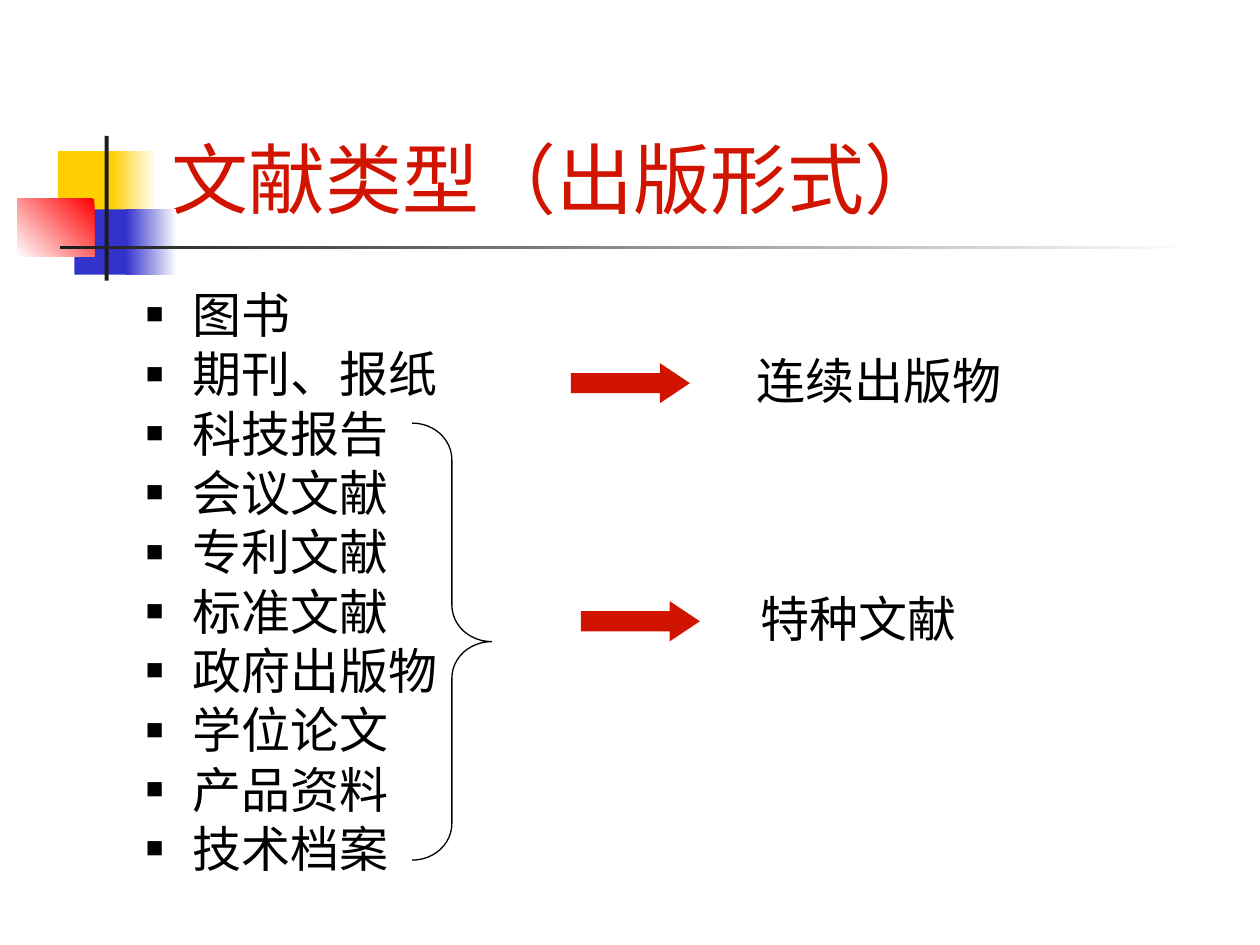
from dataclasses import dataclass
from lxml.etree import SubElement as Sub
from pptx import Presentation as Deck
from pptx.dml.color import RGBColor as Rgb
from pptx.enum.shapes import MSO_SHAPE as Kind
from pptx.enum.text import MSO_ANCHOR as Anchor, MSO_AUTO_SIZE as Fit, PP_ALIGN as Align
from pptx.oxml.ns import qn
from pptx.util import Cm, Pt


@dataclass(frozen=True)
class Theme:
    """Colours, fonts and type sizes."""
    red: str = "D01400"
    black: str = "000000"
    white: str = "FFFFFF"
    gold: str = "FFCF01"
    blue: str = "3333CC"
    flame: str = "FF0000"
    dark: str = "1C1C1C"
    han: str = "Noto Sans CJK SC"
    head: str = "Roboto"
    label: str = "Arial"
    big: int = 44
    text: int = 28


LOOK = Theme()
ITEMS = ("图书", "期刊、报纸", "科技报告", "会议文献", "专利文献",
         "标准文献", "政府出版物", "学位论文", "产品资料", "技术档案")


def put(item, form):
    """Set attributes from a dict of format values."""
    for name, value in form.items():
        setattr(item, name, value)


def place(item, box):
    """Move and size an item from centimetres."""
    put(item, dict(zip(("left", "top", "width", "height"), map(Cm, box))))


def shape(slide, kind, box, fill=None, turn=0, adj=()):
    """Add a preset shape with a plain, blended or empty fill."""
    item = slide.shapes.add_shape(kind, *map(Cm, box))
    item.shadow.inherit = False
    for i, value in enumerate(adj):
        item.adjustments[i] = value
    if fill is None:
        item.fill.background()
        item.line.color.rgb = Rgb.from_string(LOOK.black)
        item.line.width = Pt(0.74)
        return
    item.line.fill.background()
    if isinstance(fill, str):
        item.fill.solid()
        item.fill.fore_color.rgb = Rgb.from_string(fill)
        return
    item.fill.gradient()
    item.fill.gradient_angle = turn
    for stop, tint in zip(item.fill.gradient_stops, fill):
        stop.color.rgb = Rgb.from_string(tint)


def write(para, text, font, size, tint):
    """Add a run with its font for both scripts."""
    run = para.add_run()
    run.text = text
    put(run.font, {"name": font, "size": Pt(size)})
    run.font.color.rgb = Rgb.from_string(tint)
    Sub(run.font._element, qn("a:ea"), typeface=font)


def bullet(para):
    """Give a paragraph a small square bullet and hanging indent."""
    prop = para._p.get_or_add_pPr()
    prop.set("marL", str(Cm(0.95)))
    prop.set("indent", str(-Cm(0.95)))
    Sub(Sub(prop, qn("a:buClr")), qn("a:srgbClr"), val=LOOK.black)
    Sub(prop, qn("a:buSzPct"), val="60000")
    Sub(prop, qn("a:buFont"), typeface=LOOK.label)
    Sub(prop, qn("a:buChar"), char="■")


def frame(slide, box):
    """Add a wrapping text box and return its text frame."""
    body = slide.shapes.add_textbox(*map(Cm, box)).text_frame
    body.word_wrap = True
    return body


def title(slide):
    """Format the title placeholder."""
    item = slide.shapes.title
    place(item, (3.2, 0.58, 21.64, 4.06))
    put(item.text_frame, {"vertical_anchor": Anchor.BOTTOM, "auto_size": Fit.NONE,
                          "word_wrap": True})
    para = item.text_frame.paragraphs[0]
    para.alignment = Align.LEFT
    for text, font in (("文献", LOOK.han), ("类型（出版形式）", LOOK.head)):
        write(para, text, font, LOOK.big, LOOK.red)


def roster(slide):
    """Add the bulleted list of document types."""
    body = frame(slide, (2.69, 5.84, 18.16, 13.2))
    for i, text in enumerate(ITEMS):
        para = body.add_paragraph() if i else body.paragraphs[0]
        put(para, {"line_spacing": 0.8, "space_before": Pt(7)})
        bullet(para)
        write(para, text, LOOK.han, LOOK.text, LOOK.black)


def result(slide, text, left, top, width):
    """Add a red arrow and the group name it leads to."""
    shape(slide, Kind.RIGHT_ARROW, (left, top, 2.4, 0.81), LOOK.red, adj=(0.5, 0.75))
    para = frame(slide, (14.91, top - 0.38, width, 1.45)).paragraphs[0]
    put(para, {"alignment": Align.CENTER, "space_before": Pt(17.5)})
    write(para, text, LOOK.label, LOOK.text, LOOK.black)


def decor(slide):
    """Add the blocks and rules beside the title."""
    for box, fill, turn in (
            ((1.17, 3.05, 1.22, 1.32), LOOK.gold, 0),
            ((2.24, 3.05, 0.91, 1.32), (LOOK.white, LOOK.gold), 180),
            ((1.5, 4.22, 1.17, 1.32), LOOK.blue, 0),
            ((2.54, 4.22, 1.02, 1.32), (LOOK.white, LOOK.blue), 180),
            ((0.35, 4.01, 1.55, 1.17), (LOOK.flame, LOOK.white), 225),
            ((2.11, 2.74, 0.08, 2.92), LOOK.dark, 0),
            ((1.22, 4.95, 22.86, 0.08), (LOOK.white, LOOK.dark), 180)):
        shape(slide, Kind.RECTANGLE, box, fill, turn)


def main():
    """Build and save the slide."""
    deck = Deck()
    put(deck, {"slide_width": Cm(25.4), "slide_height": Cm(19.05)})
    slide = deck.slides.add_slide(deck.slide_layouts[5])
    decor(slide)
    title(slide)
    roster(slide)
    result(slide, "连续出版物", 11.51, 7.32, 5.61)
    result(slide, "特种文献", 11.71, 12.12, 4.8)
    shape(slide, Kind.RIGHT_BRACE, (8.31, 8.53, 1.6, 8.81), adj=(0.46, 0.5))
    deck.save("out.pptx")


main()
